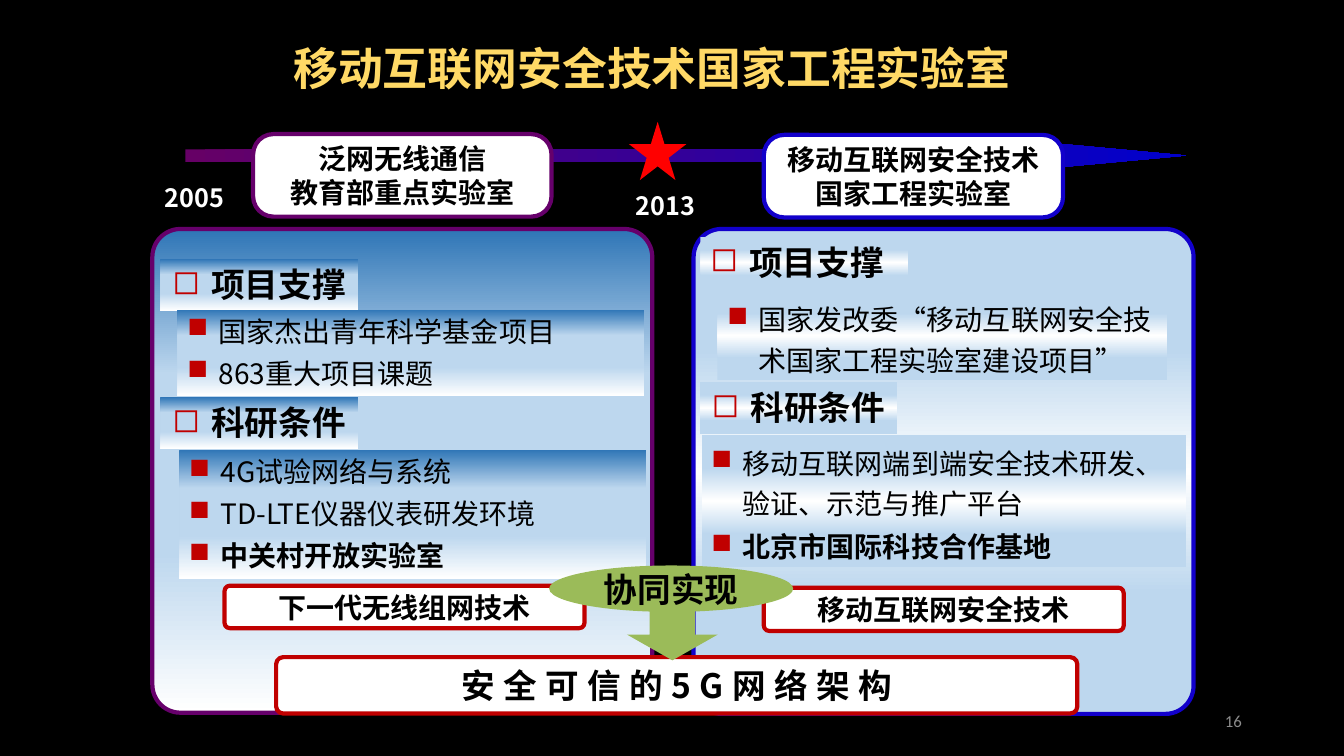
"""Builds the slide about the national mobile internet security laboratory."""
from lxml import etree
from pptx import Presentation
from pptx.dml.color import RGBColor
from pptx.enum.shapes import MSO_SHAPE
from pptx.enum.text import MSO_ANCHOR, PP_ALIGN
from pptx.oxml.ns import qn
from pptx.util import Cm, Pt

RECT, ROUND, OVAL = MSO_SHAPE.RECTANGLE, MSO_SHAPE.ROUNDED_RECTANGLE, MSO_SHAPE.OVAL
RIGHT_ARROW, DOWN_ARROW, STAR = MSO_SHAPE.RIGHT_ARROW, MSO_SHAPE.DOWN_ARROW, MSO_SHAPE.STAR_5_POINT
LEFT, CENTER, RIGHT = PP_ALIGN.LEFT, PP_ALIGN.CENTER, PP_ALIGN.RIGHT
TOP, MIDDLE = MSO_ANCHOR.TOP, MSO_ANCHOR.MIDDLE
CJK = "Noto Sans CJK SC"
COLORS = {
    "black": "000000", "white": "FFFFFF", "gold": "FFD966", "gray": "8C8C8C",
    "red": "C00000", "star": "FF0000", "green": "9BBB59", "purple": "66006B",
    "blue": "1200CB", "pale": "BDD7EE", "steel": "2E75B6",
    "arrow start": "660066", "arrow end": "0000CC",
}
LEFT_FADE = [(0, "steel"), (30, "pale"), (67, "pale"), (100, "white")]
RIGHT_FADE = [(25, "pale"), (50, "white"), (75, "pale")]
ARROW_FADE = [(0, "arrow start"), (100, "arrow end")]


def add_box(kind, place, fill=None, line=None, adjust=(), angle=270):
    """Add a shape; fill is a colour name, a list of gradient stops or None."""
    box = page.shapes.add_shape(kind, *[Cm(length) for length in place])
    box.shadow.inherit = False
    for index, value in enumerate(adjust):
        box.adjustments[index] = value
    if fill is None:
        box.fill.background()
    elif isinstance(fill, str):
        box.fill.solid()
        box.fill.fore_color.rgb = RGBColor.from_string(COLORS[fill])
    else:
        box.fill.gradient()
        box.fill.gradient_angle = angle
        stops = next(box._element.iter(qn("a:gsLst")))
        for stop in list(stops):
            stops.remove(stop)
        for position, name in fill:
            stop = etree.SubElement(stops, qn("a:gs"), pos=str(position * 1000))
            etree.SubElement(stop, qn("a:srgbClr"), val=COLORS[name])
    if line:
        box.line.color.rgb = RGBColor.from_string(COLORS[line])
        box.line.width = Pt(3)
    else:
        box.line.fill.background()
    return box


def write(box, lines, size=20, color="black", bold=True, font=CJK, align=CENTER,
          anchor=MIDDLE, bullet=None, before=0, after=0, leading=None, tracking=0):
    """Write lines of text; a line that starts with * is bold."""
    frame = box.text_frame
    frame.word_wrap = True
    frame.vertical_anchor = anchor
    for index, line in enumerate(lines):
        para = frame.add_paragraph() if index else frame.paragraphs[0]
        para.alignment = align
        para.space_before, para.space_after = Pt(before), Pt(after)
        if leading:
            para.line_spacing = leading
        if bullet:
            layout = para._p.get_or_add_pPr()
            layout.set("marL", str(Cm(0.79)))
            layout.set("indent", str(-Cm(0.79)))
            tint = etree.SubElement(layout, qn("a:buClr"))
            etree.SubElement(tint, qn("a:srgbClr"), val=COLORS["red"])
            etree.SubElement(layout, qn("a:buChar"), char=bullet)
        span = para.add_run()
        span.text = line.removeprefix("*")
        span.font.size = Pt(size)
        span.font.bold = bold or line.startswith("*")
        span.font.name = font
        span.font.color.rgb = RGBColor.from_string(COLORS[color])
        marks = span.font._element
        etree.SubElement(marks, qn("a:ea"), typeface=font)
        if tracking:
            marks.set("spc", str(tracking * 100))


deck = Presentation()
deck.slide_width, deck.slide_height = Cm(33.87), Cm(19.05)
page = deck.slides.add_slide(deck.slide_layouts[6])
page.background.fill.solid()
page.background.fill.fore_color.rgb = RGBColor.from_string(COLORS["black"])

panels = [
    ((17.48, 5.77, 12.6, 12.22), RIGHT_FADE, "blue"),
    ((3.84, 5.77, 12.6, 12.19), LEFT_FADE, "purple"),
]
for place, fade, edge in panels:
    add_box(ROUND, place, fade, edge, [0.058])

headings = [
    ((17.65, 5.97, 5.23, 1.3), RIGHT_FADE, " 项目支撑", LEFT),
    ((17.63, 9.63, 4.98, 1.3), RIGHT_FADE, " 科研条件", CENTER),
    ((4.04, 6.53, 4.98, 1.3), LEFT_FADE, " 项目支撑", CENTER),
    ((4.04, 10.01, 4.98, 1.3), LEFT_FADE, " 科研条件", CENTER),
]
for place, fade, text, align in headings:
    write(add_box(RECT, place, fade), [text], size=24, align=align, anchor=TOP,
          bullet="◻", before=2)

right_spacing = {"before": 2, "leading": 1.2}
left_spacing = {"before": 3, "after": 3}
item_lists = [
    ((18.08, 7.34, 11.33, 2.24), RIGHT_FADE, right_spacing,
     ["国家发改委“移动互联网安全技术国家工程实验室建设项目”"]),
    ((17.68, 10.95, 12.22, 3.33), RIGHT_FADE, right_spacing,
     ["移动互联网端到端安全技术研发、验证、示范与推广平台", "*北京市国际科技合作基地"]),
    ((4.47, 7.8, 11.76, 2.18), LEFT_FADE, left_spacing,
     ["国家杰出青年科学基金项目", "863重大项目课题"]),
    ((4.52, 11.33, 11.76, 3.25), LEFT_FADE, left_spacing,
     ["4G试验网络与系统", "TD-LTE仪器仪表研发环境", "*中关村开放实验室"]),
]
for place, fade, spacing, items in item_lists:
    write(add_box(RECT, place, fade), items, bold=False, align=LEFT, anchor=TOP,
          bullet="■", **spacing)

add_box(RIGHT_ARROW, (4.67, 3.63, 25.22, 0.58), ARROW_FADE, adjust=[0.544, 5.394], angle=0)
add_box(STAR, (15.85, 3.07, 1.45, 1.47), "star")

labels = [
    ((6.38, 3.38, 7.52, 2.08), "purple", 0.246, ["泛网无线通信", "教育部重点实验室"]),
    ((19.25, 3.4, 7.54, 2.08), "blue", 0.246, ["移动互联网安全技术国家工程实验室"]),
    ((5.66, 14.76, 9.07, 1.07), "red", 0.124, ["下一代无线组网技术"]),
    ((19.25, 14.81, 9.07, 1.09), "red", 0.124, ["移动互联网安全技术"]),
]
for place, edge, corner, lines in labels:
    write(add_box(ROUND, place, "white", edge, [corner]), lines)

goal = add_box(ROUND, (6.96, 16.56, 20.19, 1.42), "white", "red", [0.124])
write(goal, ["安全可信的5G网络架构"], size=24, tracking=6)
add_box(DOWN_ARROW, (15.8, 15.34, 2.29, 1.3), "green")
write(add_box(OVAL, (13.84, 14.25, 6.15, 1.17), "green"), ["协同实现"], size=24)

captions = [
    ((3.84, 4.47, 2.11, 1.02), "2005", {"size": 18, "color": "white"}),
    ((15.54, 4.67, 2.46, 1.02), "2013", {"size": 18, "color": "white"}),
    ((23.93, 17.65, 7.62, 1.02), "16",
     {"size": 12, "color": "gray", "bold": False, "font": "Calibri", "align": RIGHT}),
    ((4.75, 0.89, 23.37, 1.63), "移动互联网安全技术国家工程实验室", {"size": 32, "color": "gold"}),
]
for place, text, style in captions:
    caption = page.shapes.add_textbox(*[Cm(length) for length in place])
    write(caption, [text], **style)

deck.save("out.pptx")
